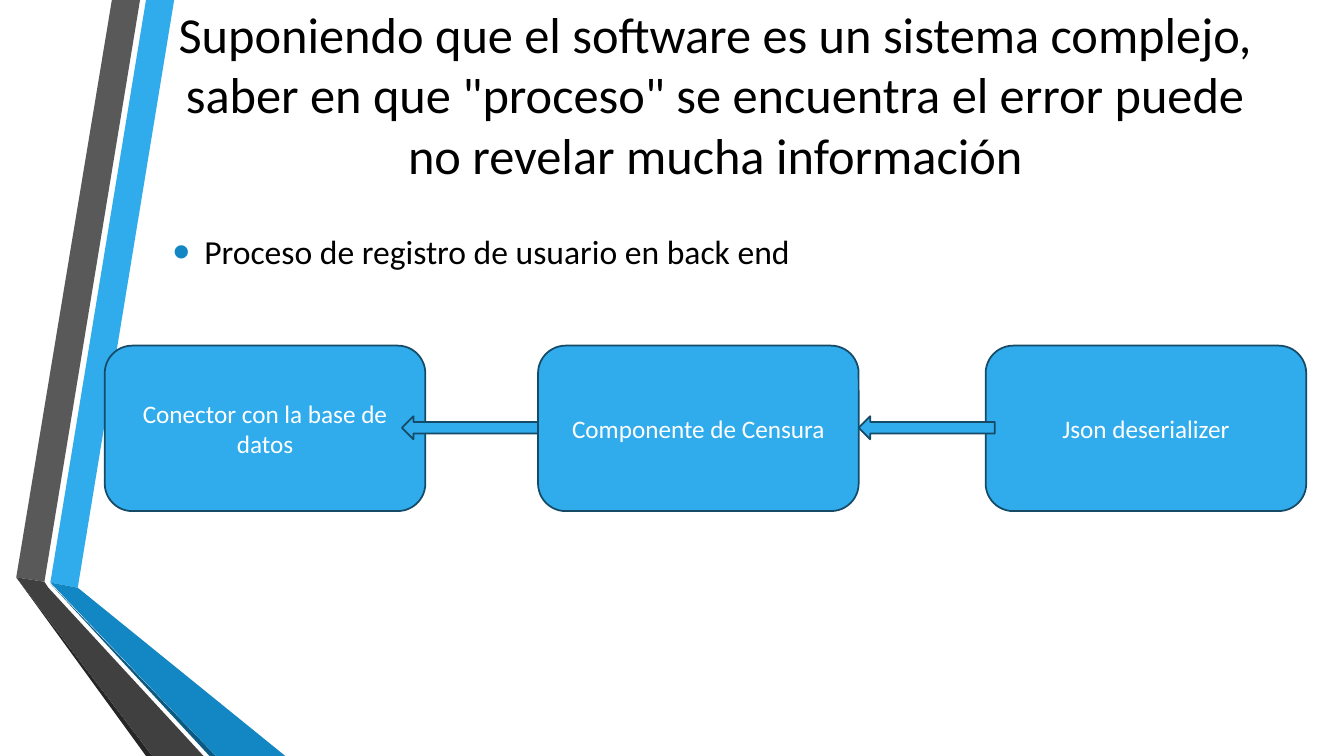
from lxml import etree
from pptx import Presentation
from pptx.dml.color import RGBColor
from pptx.enum.shapes import MSO_SHAPE
from pptx.enum.text import MSO_ANCHOR, PP_ALIGN
from pptx.oxml.ns import qn
from pptx.util import Cm, Pt

ROUNDED = MSO_SHAPE.ROUNDED_RECTANGLE
LEFT_ARROW = MSO_SHAPE.LEFT_ARROW
MIDDLE = MSO_ANCHOR.MIDDLE
CENTER = PP_ALIGN.CENTER
LEFT = PP_ALIGN.LEFT

COLORS = {
    "sky": "30ACEC",
    "blue": "1287C3",
    "deep_blue": "0C5A82",
    "outline": "154B67",
    "gray": "595959",
    "dark_gray": "404040",
    "charcoal": "262626",
    "black": "000000",
    "white": "FFFFFF",
}


def write(shape, text, size, color, align):
    """Fill the shape with one wrapped, vertically centred paragraph."""
    frame = shape.text_frame
    frame.word_wrap = True
    frame.vertical_anchor = MIDDLE
    paragraph = frame.paragraphs[0]
    paragraph.text = text
    paragraph.alignment = align
    paragraph.font.name = "Calibri"
    paragraph.font.size = Pt(size)
    paragraph.font.color.rgb = RGBColor.from_string(COLORS[color])
    return paragraph


def add_process_shape(kind, left, top, width, height):
    shape = slide.shapes.add_shape(kind, Cm(left), Cm(top), Cm(width), Cm(height))
    shape.shadow.inherit = False
    shape.fill.solid()
    shape.fill.fore_color.rgb = RGBColor.from_string(COLORS["sky"])
    shape.line.color.rgb = RGBColor.from_string(COLORS["outline"])
    shape.line.width = Pt(1.25)
    return shape


prs = Presentation()
prs.slide_width = Cm(33.87)
prs.slide_height = Cm(19.05)
slide = prs.slides.add_slide(prs.slide_layouts[6])

# Folded ribbons along the left edge, corner points in cm
ribbons = [
    ("sky", [(1.27, 14.68), (1.96, 14.81), (4.39, 0), (3.68, 0)]),
    ("gray", [(3.53, 0), (2.82, 0), (0.41, 14.55), (1.12, 14.66)]),
    ("charcoal", [(0.41, 14.55), (3.68, 19.05), (3.84, 19.05)]),
    ("deep_blue", [(1.27, 14.71), (5.28, 19.05), (5.44, 19.05)]),
    ("blue", [(1.27, 14.68), (5.44, 19.05), (7.19, 19.05), (1.96, 14.81)]),
    ("dark_gray", [(5.13, 19.05), (1.22, 14.81), (1.12, 14.66), (0.41, 14.55),
                   (3.84, 19.05)]),
]
for color, corners in ribbons:
    points = [(Cm(x), Cm(y)) for x, y in corners]
    builder = slide.shapes.build_freeform(*points[0])
    builder.add_line_segments(points[1:], close=True)
    ribbon = builder.convert_to_shape()
    ribbon.shadow.inherit = False
    ribbon.fill.solid()
    ribbon.fill.fore_color.rgb = RGBColor.from_string(COLORS[color])
    ribbon.line.fill.background()

# Title and bulleted topic
title = slide.shapes.add_textbox(Cm(4.11), Cm(1.02), Cm(27.84), Cm(2.67))
write(title, 'Suponiendo que el software es un sistema complejo, saber en que '
      '"proceso" se encuentra el error puede no revelar mucha información',
      36, "black", CENTER)

topic_box = slide.shapes.add_textbox(Cm(4.11), Cm(5.11), Cm(27.84), Cm(2.44))
topic = write(topic_box, "Proceso de registro de usuario en back end",
              24, "black", LEFT)
topic.space_after = Pt(6)
topic_format = topic._p.get_or_add_pPr()
topic_format.set("marL", str(Cm(0.79)))
topic_format.set("indent", str(-Cm(0.79)))
bullet_color = etree.SubElement(topic_format, qn("a:buClr"))
etree.SubElement(bullet_color, qn("a:srgbClr"), val=COLORS["blue"])
etree.SubElement(topic_format, qn("a:buSzPct"), val="145000")
etree.SubElement(topic_format, qn("a:buFont"), typeface="Arial")
etree.SubElement(topic_format, qn("a:buChar"), char="•")

# Process steps, with the flow running right to left
steps = [
    (13.56, "Componente de Censura"),
    (2.64, "Conector con la base de datos"),
    (24.84, "Json deserializer"),
]
for left, label in steps:
    step = add_process_shape(ROUNDED, left, 8.71, 8.08, 4.17)
    write(step, label, 18, "white", CENTER)

for left in (21.64, 10.13):
    add_process_shape(LEFT_ARROW, left, 10.49, 3.43, 0.58)

prs.save("out.pptx")
